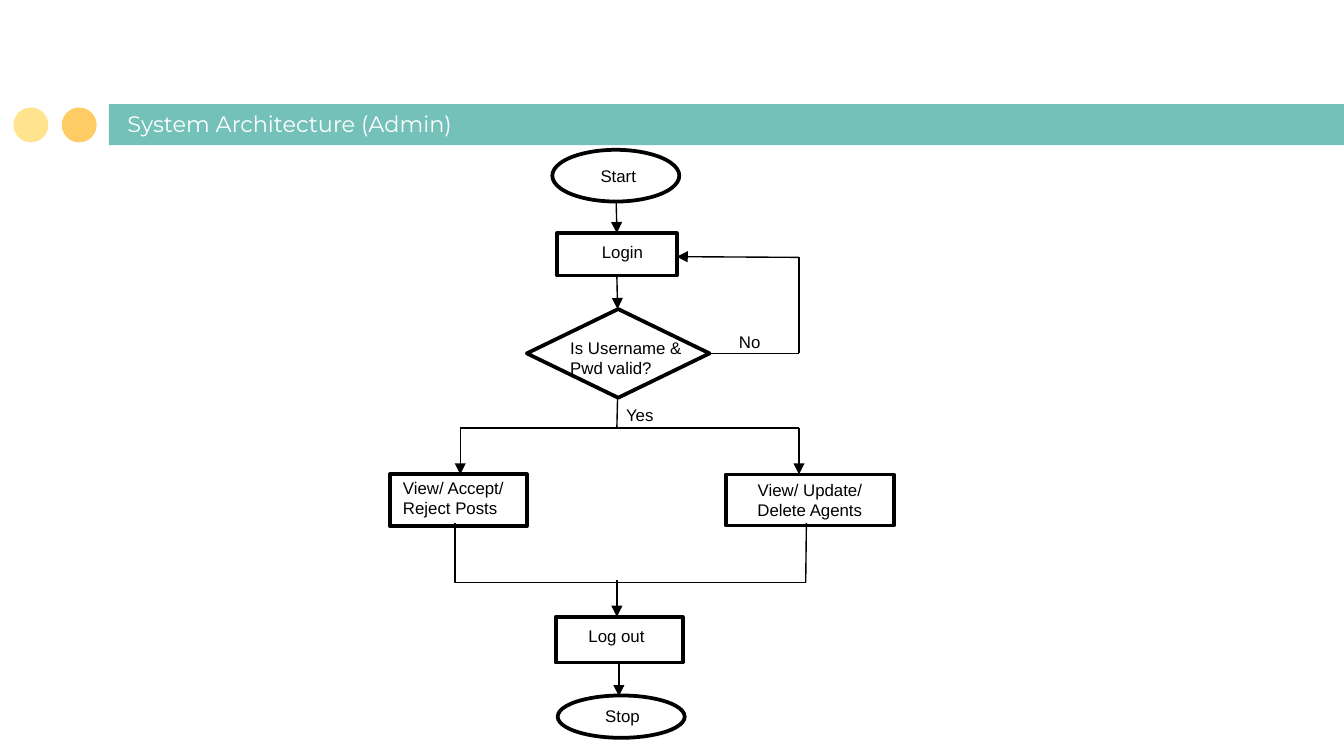
from pptx import Presentation
from pptx import util as u
from pptx.dml.color import RGBColor
from pptx.enum import shapes, text
from pptx.oxml.ns import qn
from lxml import etree

PX = 4572
THEME = {
    "teal": "74C1B9", "amber": "FFCB64", "cream": "FFE48D", "white": "FFFFFF", "ink": "000000",
    "title_font": "Montserrat", "body_font": "Arial", "title_size": 12, "body_size": 9,
    "outline": 2, "flow": 0.75,
}
KIND = shapes.MSO_SHAPE
LINE = shapes.MSO_CONNECTOR


def write(shape, content, font=THEME["body_font"], size=THEME["body_size"], color=THEME["ink"],
          wrap=False, grow=True, anchor=text.MSO_ANCHOR.TOP, align=text.PP_ALIGN.LEFT, inset=10):
    frame = shape.text_frame
    frame.text = content
    frame.word_wrap = wrap
    frame.auto_size = text.MSO_AUTO_SIZE.SHAPE_TO_FIT_TEXT if grow else text.MSO_AUTO_SIZE.NONE
    frame.vertical_anchor = anchor
    frame.margin_left = frame.margin_right = 20 * PX
    frame.margin_top = frame.margin_bottom = inset * PX
    for paragraph in frame.paragraphs:
        paragraph.alignment = align
        for run in paragraph.runs:
            run.font.name = font
            run.font.size = u.Pt(size)
            run.font.color.rgb = RGBColor.from_string(color)


def connect(start, end, arrow=False, kind=LINE.STRAIGHT):
    connector = slide.shapes.add_connector(kind, *[value * PX for value in start + end])
    connector.line.width = u.Pt(THEME["flow"])
    connector.line.color.rgb = RGBColor.from_string(THEME["ink"])
    if arrow:
        etree.SubElement(connector.line._get_or_add_ln(), qn("a:tailEnd"), type="triangle")
    etree.SubElement(connector._element.spPr, qn("a:effectLst"))
    return connector


presentation = Presentation()
presentation.slide_width = 2000 * PX
presentation.slide_height = 1125 * PX
slide = presentation.slides.add_slide(presentation.slide_layouts[6])

for kind, box, fill in [
    (KIND.RECTANGLE, (162, 155, 1900, 61), "teal"),
    (KIND.OVAL, (92, 160, 52, 52), "amber"),
    (KIND.OVAL, (20, 160, 52, 52), "cream"),
]:
    shape = slide.shapes.add_shape(kind, *[value * PX for value in box])
    shape.shadow.inherit = False
    shape.fill.solid()
    shape.fill.fore_color.rgb = RGBColor.from_string(THEME[fill])
    shape.line.fill.background()

title = slide.shapes.add_textbox(170 * PX, 156 * PX, 1096 * PX, 68 * PX)
write(title, "System Architecture (Admin)", font=THEME["title_font"], size=THEME["title_size"],
      color=THEME["white"], wrap=True, grow=False, anchor=text.MSO_ANCHOR.BOTTOM, inset=20)

for kind, box, content in [
    (KIND.OVAL, (822, 223, 189, 77), ""),
    (KIND.RECTANGLE, (829, 347, 178, 63), ""),
    (KIND.DIAMOND, (784, 460, 272, 132), ""),
    (KIND.RECTANGLE, (580, 706, 204, 77), ""),
    (KIND.RECTANGLE, (827, 918, 189, 68), ""),
    (KIND.RECTANGLE, (1080, 706, 250, 76), "View/ Update/ Delete Agents"),
    (KIND.OVAL, (830, 1035, 189, 63), ""),
]:
    step = slide.shapes.add_shape(kind, *[value * PX for value in box])
    step.shadow.inherit = False
    step.fill.background()
    step.line.width = u.Pt(THEME["outline"])
    step.line.color.rgb = RGBColor.from_string(THEME["ink"])
    if content:
        write(step, content, wrap=True, grow=False,
              anchor=text.MSO_ANCHOR.MIDDLE, align=text.PP_ALIGN.CENTER)

for box, content, wrap in [
    ((874, 236, 94, 50), "Start", False),
    ((876, 350, 102, 50), "Login", False),
    ((829, 493, 214, 80), "Is Username &\nPwd valid?", False),
    ((580, 701, 236, 80), "View/ Accept/ Reject Posts", True),
    ((856, 922, 124, 50), "Log out", False),
    ((881, 1041, 92, 50), "Stop", False),
    ((1080, 484, 72, 50), "No", False),
    ((912, 592, 84, 50), "Yes", False),
]:
    label = slide.shapes.add_textbox(*[value * PX for value in box])
    write(label, content, wrap=wrap)

for start, end, arrow in [
    ((917, 300), (918, 347), True),
    ((1056, 526), (1189, 526), False),
    ((1189, 526), (1189, 383), False),
    ((1189, 383), (1007, 382), True),
    ((918, 410), (919, 460), True),
    ((919, 592), (918, 637), False),
    ((685, 637), (1189, 637), False),
    ((685, 637), (685, 706), True),
    ((1189, 637), (1189, 706), True),
    ((1200, 778), (1199, 867), False),
    ((918, 863), (918, 918), True),
    ((921, 985), (921, 1036), True),
]:
    connect(start, end, arrow)

merge = connect((982, 562), (894, 1084), kind=LINE.ELBOW)
merge._element.spPr.find(qn("a:xfrm")).set("rot", "16200000")
merge._element.spPr.find(qn("a:prstGeom")).set("prst", "bentConnector2")

presentation.save("out.pptx")
